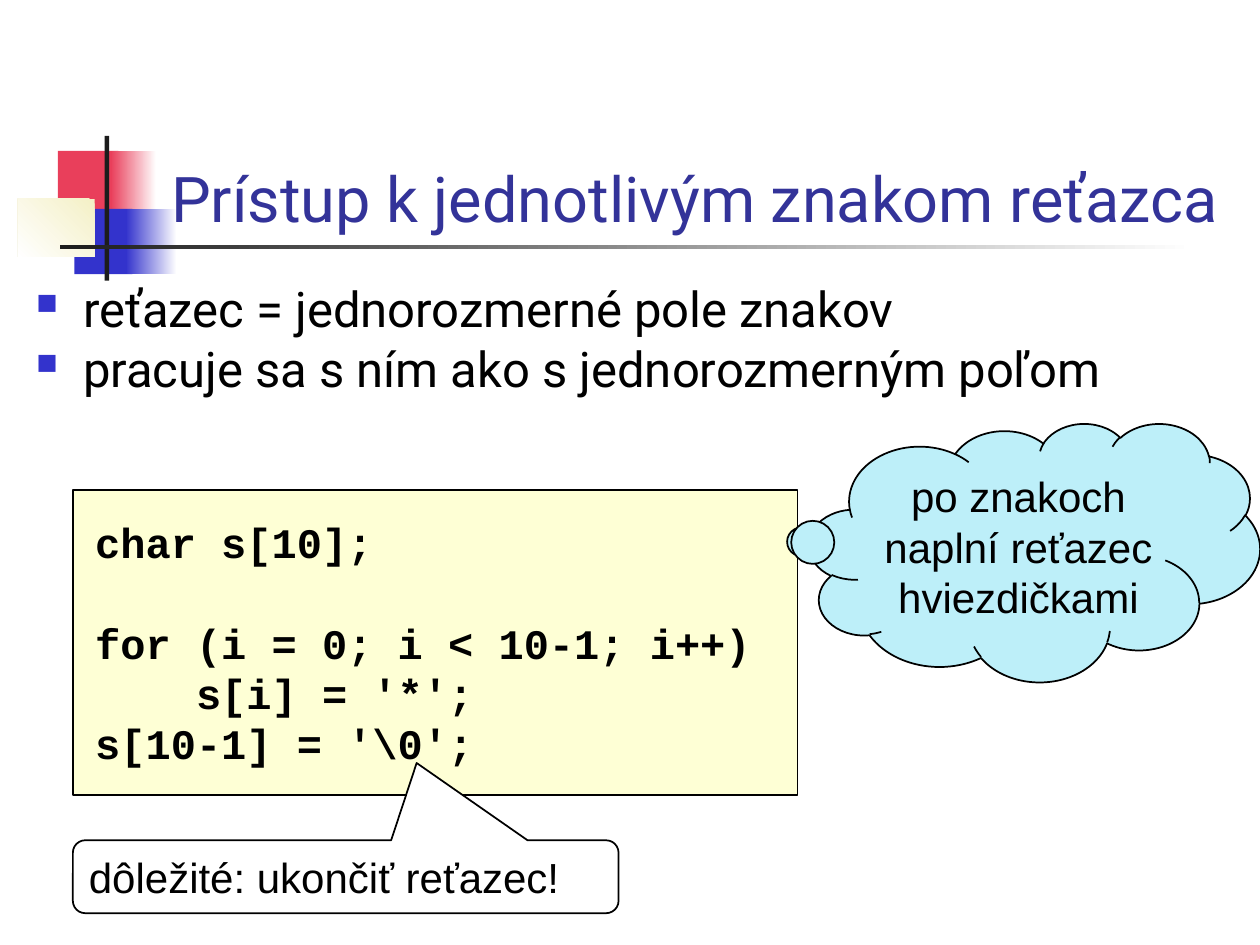
from pptx import Presentation, util as u
from pptx.dml.color import RGBColor
from pptx.enum import shapes, text
from pptx.oxml import parse_xml
from pptx.oxml.ns import nsdecls

KIND = shapes.MSO_SHAPE
PAD = 0.25, 0.13


def color(code):
    return RGBColor.from_string(code)


def draw(slide, kind, box, fill, line=None, width=1):
    """Add a shape with a solid fill, or a gradient for (start, end, angle)."""
    shape = slide.shapes.add_shape(kind, *map(u.Cm, box))
    shape.shadow.inherit = False
    if isinstance(fill, tuple):
        shape.fill.gradient()
        shape.fill.gradient_angle = fill[2]
        for stop, code in zip(shape.fill.gradient_stops, fill):
            stop.color.rgb = color(code)
    else:
        shape.fill.solid()
        shape.fill.fore_color.rgb = color(fill)
    if line:
        shape.line.color.rgb = color(line)
        shape.line.width = u.Pt(width)
    else:
        shape.line.fill.background()
    return shape


def write(shape, words, size, face, code="000000", bold=False,
          align=text.PP_ALIGN.LEFT, anchor=text.MSO_ANCHOR.TOP, wrap=True):
    """Set and format the text of a shape or text box."""
    frame = shape.text_frame
    frame.text = words
    frame.word_wrap = wrap
    frame.vertical_anchor = anchor
    frame.margin_left = frame.margin_right = u.Cm(PAD[0])
    frame.margin_top = frame.margin_bottom = u.Cm(PAD[1])
    for para in frame.paragraphs:
        para.alignment = align
        for run in para.runs:
            font = run.font
            font.size, font.name, font.bold = u.Pt(size), face, bold
            font.color.rgb = color(code)
    return frame


def add_text(slide, box, *args, **opts):
    area = slide.shapes.add_textbox(*map(u.Cm, box))
    return write(area, *args, **opts)


def add_mark(slide, x, y):
    """Coloured squares crossed by two rules."""
    parts = [
        (0.81, 0.3, 1.22, 1.32, "E93F5B"),
        (1.88, 0.3, 0.91, 1.32, ("FFFFFF", "E93F5B", 180)),
        (1.14, 1.47, 1.17, 1.32, "3333CC"),
        (2.18, 1.47, 1.02, 1.32, ("FFFFFF", "3333CC", 180)),
        (0, 1.27, 1.55, 1.17, ("F4F0C6", "FFFFFF", 225)),
        (1.75, 0, 0.09, 2.92, "1C1C1C"),
        (0.86, 2.2, 22.86, 0.09, ("FFFFFF", "1C1C1C", 180)),
    ]
    for dx, dy, w, h, fill in parts:
        draw(slide, KIND.RECTANGLE, (x + dx, y + dy, w, h), fill)


def add_points(slide, box, lines):
    """Body text with small square bullets."""
    frame = add_text(slide, box, "\n".join(lines), 28, "Roboto")
    for i, para in enumerate(frame.paragraphs):
        para.line_spacing = 0.8
        para.space_before = u.Pt(7 if i else 0)
        props = para._p.get_or_add_pPr()
        props.set("marL", str(u.Cm(0.95)))
        props.set("indent", str(-u.Cm(0.95)))
        for item in ('<a:buClr %s><a:srgbClr val="3333CC"/></a:buClr>',
                     '<a:buSzPct %s val="60000"/>',
                     '<a:buChar %s char="■"/>'):
            props.append(parse_xml(item % nsdecls("a")))


def add_code(slide, x, y, w, h):
    """Code listing on a pale panel."""
    draw(slide, KIND.RECTANGLE, (x, y, w, h), "FEFFD5", "000000", 0.75)
    code = ("char s[10];\n\nfor (i = 0; i < 10-1; i++)\n"
            "    s[i] = '*';\ns[10-1] = '\\0';")
    frame = add_text(slide, (x + 0.2, y + 0.4, 13.72, 5.33), code, 24,
                     "Courier New", bold=True, wrap=False)
    for para in frame.paragraphs:
        para.line_spacing = u.Pt(28.8)


def add_note(slide, kind, box, fill, tip, words, align):
    """Callout whose tip is given as shares of its box."""
    shape = draw(slide, kind, box, fill, "000000")
    for i, share in enumerate(tip):
        shape.adjustments[i] = share
    write(shape, words, 24, "Arial", align=align,
          anchor=text.MSO_ANCHOR.MIDDLE)


def main():
    deck = Presentation()
    deck.slide_width, deck.slide_height = u.Cm(25.4), u.Cm(19.05)
    slide = deck.slides.add_slide(deck.slide_layouts[6])

    # Heading
    add_mark(slide, 0.36, 2.74)
    add_text(slide, (3.2, 1.7, 21.64, 3.18),
             "Prístup k jednotlivým znakom reťazca", 36, "Roboto", "333399",
             anchor=text.MSO_ANCHOR.BOTTOM)

    # Body
    add_points(slide, (0.48, 5.72, 24.41, 2.59),
               ["reťazec = jednorozmerné pole znakov",
                "pracuje sa s ním ako s jednorozmerným poľom"])
    add_code(slide, 1.47, 9.88, 14.61, 6.15)

    # Remarks
    add_note(slide, KIND.CLOUD_CALLOUT, (16.31, 8.53, 9.09, 5.21), "BDEFF9",
             (-0.51, -0.04), "po znakoch naplní reťazec hviezdičkami",
             text.PP_ALIGN.CENTER)
    add_note(slide, KIND.ROUNDED_RECTANGULAR_CALLOUT,
             (1.47, 16.94, 11, 1.47), "FFFFFF", (0.13, -1.56, 0.17),
             "dôležité: ukončiť reťazec!", text.PP_ALIGN.LEFT)

    deck.save("out.pptx")


if __name__ == "__main__":
    main()
